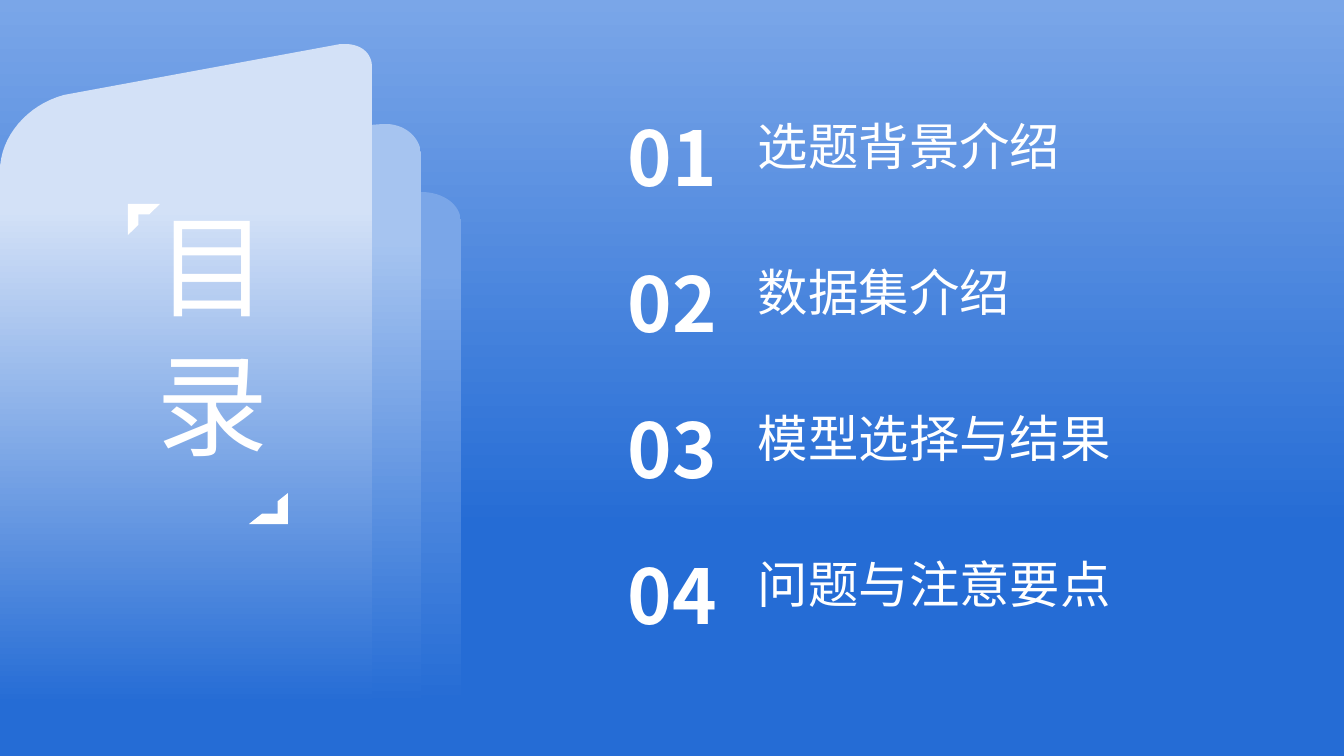
from pptx import Presentation
from pptx.dml.color import RGBColor
from pptx.enum.shapes import MSO_SHAPE as SHAPE
from pptx.enum.text import MSO_ANCHOR as ANCHOR, MSO_AUTO_SIZE as AUTO, PP_ALIGN as ALIGN
from pptx.oxml.ns import qn
from pptx.util import Pt

PX = 914400 / 100.8
THEME = {
    "white": RGBColor.from_string("FFFFFF"),
    "blue": RGBColor.from_string("256CD5"),
    "sky": RGBColor.from_string("7AA6E8"),
    "pale": RGBColor.from_string("A6C4F0"),
    "mist": RGBColor.from_string("D3E1F7"),
    "title": {"size": Pt(80), "name": "Arial", "bold": False},
    "label": {"size": Pt(36), "name": "Arial", "bold": False},
    "number": {"size": Pt(54), "name": "Noto Sans CJK SC", "bold": True},
}
CURVE_STEPS = 16
PANEL_BOTTOM = 705
ROW_PITCH = 146


def fade_down(fill, top, start, end):
    """Vertical gradient from the top colour to the theme blue."""
    fill.gradient()
    fill.gradient_angle = 270
    for stop, color, position in zip(fill.gradient_stops, (top, THEME["blue"]), (start, end)):
        stop.color.rgb = color
        stop.position = position


def set_text(shape, box, text, style, align=ALIGN.LEFT, anchor=ANCHOR.TOP):
    shape.left, shape.top, shape.width, shape.height = (round(v * PX) for v in box)
    tf = shape.text_frame
    frame = {"word_wrap": True, "auto_size": AUTO.NONE, "vertical_anchor": anchor,
             "margin_left": 0, "margin_right": 0, "margin_top": 0, "margin_bottom": 0}
    for key, value in frame.items():
        setattr(tf, key, value)
    p = tf.paragraphs[0]
    p.alignment = align
    r = p.add_run()
    r.text = text
    for key, value in THEME[style].items():
        setattr(r.font, key, value)
    r.font.color.rgb = THEME["white"]


prs = Presentation()
prs.slide_width, prs.slide_height = round(1344 * PX), round(756 * PX)
s = prs.slides.add_slide(prs.slide_layouts[5])
fade_down(s.background.fill, THEME["sky"], 0, 0.7)

# Stacked panels, back to front: colour, gradient start, left and right corner curves
panels = [
    ("sky", 0.15, [(93, 192), (41, 192), (0, 231), (0, 280)],
     [(461, 222), (461, 205), (444, 192), (421, 192)]),
    ("pale", 0.20, [(93, 146), (41, 146), (0, 186), (0, 236)],
     [(421, 155), (421, 138), (405, 123), (383, 124)]),
    ("mist", 0.25, [(64, 95), (27, 105), (0, 137), (0, 171)],
     [(372, 67), (372, 53), (361, 43), (341, 44)]),
]
for color, start, left_corner, right_corner in panels:
    outline = []
    for corner in (left_corner, right_corner):
        for step in range(CURVE_STEPS + 1):
            t = step / CURVE_STEPS
            weights = ((1 - t) ** 3, 3 * t * (1 - t) ** 2, 3 * t * t * (1 - t), t ** 3)
            outline.append(tuple(PX * sum(w * pt[axis] for w, pt in zip(weights, corner))
                                 for axis in (0, 1)))
        if corner is left_corner:
            outline += [(x * PX, PANEL_BOTTOM * PX) for x in (0, right_corner[0][0])]
    builder = s.shapes.build_freeform(*outline[0])
    builder.add_line_segments(outline[1:], close=True)
    panel = builder.convert_to_shape()
    panel.shadow.inherit = False
    panel.line.fill.background()
    fade_down(panel.fill, THEME[color], start, 1)

# Vertical title, raised above the panels
title = s.shapes.title
set_text(title, (140, 210, 136, 308), "目 录", "title", ALIGN.CENTER, ANCHOR.MIDDLE)
title.element.find(".//" + qn("a:bodyPr")).set("vert", "eaVert")
s.shapes.element.append(title.element)

# Agenda rows
topics = ["选题背景介绍", "数据集介绍", "模型选择与结果", "问题与注意要点"]
for i, topic in enumerate(topics):
    y = i * ROW_PITCH
    label = s.shapes.add_textbox(0, 0, 0, 0)
    set_text(label, (758, 115 + y, 510, 61), topic, "label")
    number = s.shapes.add_textbox(0, 0, 0, 0)
    set_text(number, (603, 107 + y, 139, 99), f"{i + 1:02}", "number",
             ALIGN.CENTER, ANCHOR.MIDDLE)

# Corner brackets around the title
for box, rotation in [((128, 204, 32, 31), 0), ((249, 493, 39, 31), 180)]:
    bracket = s.shapes.add_shape(SHAPE.HALF_FRAME, *(round(v * PX) for v in box))
    bracket.rotation = rotation
    bracket.shadow.inherit = False
    bracket.fill.solid()
    bracket.fill.fore_color.rgb = THEME["white"]
    bracket.line.fill.background()

prs.save("out.pptx")
